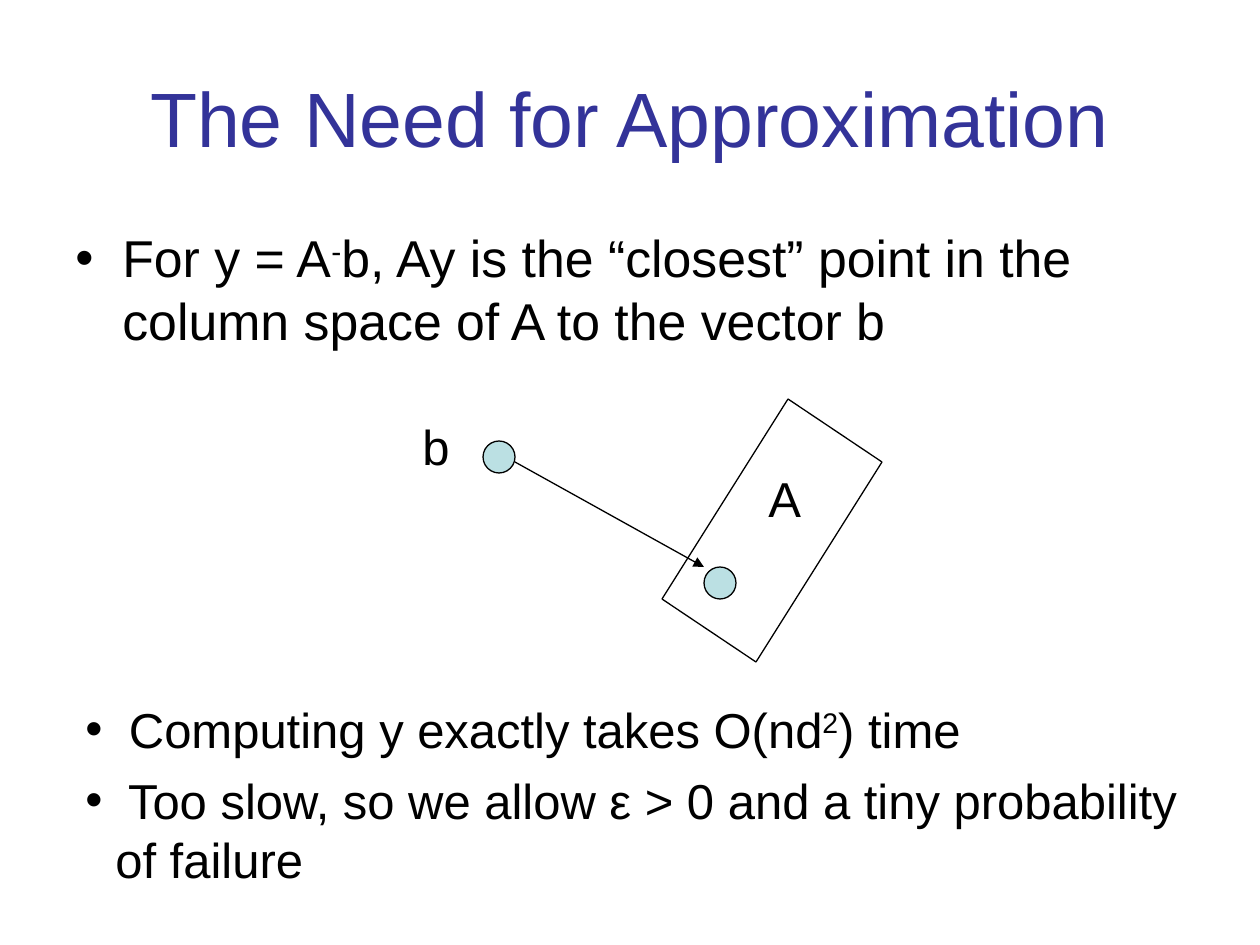
from pptx import Presentation
from pptx import util as u
from pptx.dml.color import RGBColor
from pptx.enum import shapes, text
from pptx.oxml import ns
from lxml import etree

PX = 9144000 / 1260
BLACK, INDIGO, AQUA = "000000", "333399", "BBE0E3"


def px(length):
    """Turn px into EMU."""
    return u.Emu(round(length * PX))


def rgb(value):
    """Turn a hex string into a colour."""
    return RGBColor.from_string(value)


def add_bullet(paragraph, hang):
    """Give a paragraph a round bullet and a hanging indent in px."""
    props = paragraph._p.get_or_add_pPr()
    props.set("marL", str(px(hang)))
    props.set("indent", str(-px(hang)))
    colour = etree.SubElement(props, ns.qn("a:buClr"))
    etree.SubElement(colour, ns.qn("a:srgbClr"), val=BLACK)
    etree.SubElement(props, ns.qn("a:buFont"), typeface="Arial")
    etree.SubElement(props, ns.qn("a:buChar"), char="•")


def add_text(slide, box, paragraphs, size=28, color=BLACK, align="LEFT", anchor="TOP",
             hang=0, before=0, wrap=True, grow=True):
    """Write paragraphs of runs, where every second run is superscript."""
    frame = slide.shapes.add_textbox(*map(px, box)).text_frame
    frame.word_wrap = wrap
    frame.auto_size = text.MSO_AUTO_SIZE.SHAPE_TO_FIT_TEXT if grow else text.MSO_AUTO_SIZE.NONE
    frame.vertical_anchor = text.MSO_ANCHOR[anchor]
    for index, runs in enumerate(paragraphs):
        paragraph = frame.add_paragraph() if index else frame.paragraphs[0]
        paragraph.alignment = text.PP_ALIGN[align]
        paragraph.space_before = u.Pt(before)
        if hang:
            add_bullet(paragraph, hang)
        for position, words in enumerate(runs):
            run = paragraph.add_run()
            run.text = words
            run.font.size = u.Pt(size)
            run.font.name = "Arial"
            run.font.color.rgb = rgb(color)
            if position % 2:
                run._r.get_or_add_rPr().set("baseline", "30000")


def add_line(slide, start, end, arrow=False):
    """Draw a thin black line, with an arrowhead at its end if asked."""
    line = slide.shapes.add_connector(shapes.MSO_CONNECTOR.STRAIGHT, *map(px, start + end))
    line.line.color.rgb = rgb(BLACK)
    line.line.width = u.Pt(0.75)
    if arrow:
        etree.SubElement(line.line._get_or_add_ln(), ns.qn("a:tailEnd"), type="triangle")
    etree.SubElement(line._element.spPr, ns.qn("a:effectLst"))


def add_point(slide, left, top, size=32):
    """Draw a round point."""
    point = slide.shapes.add_shape(shapes.MSO_SHAPE.OVAL, *map(px, (left, top, size, size)))
    point.shadow.inherit = False
    point.fill.solid()
    point.fill.fore_color.rgb = rgb(AQUA)
    point.line.color.rgb = rgb(BLACK)
    point.line.width = u.Pt(0.75)


def main():
    """Build the slide and save it."""
    deck = Presentation()
    deck.slide_width, deck.slide_height = px(1260), px(945)
    slide = deck.slides.add_slide(deck.slide_layouts[6])

    add_text(slide, (63, 38, 1134, 158), [["The Need for Approximation"]],
             size=44, color=INDIGO, align="CENTER", anchor="MIDDLE", grow=False)
    add_text(slide, (63, 220, 1134, 147),
             [["For y = A", "-", "b, Ay is the “closest” point in the column space of A to the vector b"]],
             size=29.6, hang=47, before=8, grow=False)
    add_text(slide, (73, 693, 1124, 202),
             [[" Computing y exactly takes O(nd", "2", ") time"],
              [" Too slow, so we allow ε > 0 and a tiny probability of failure"]],
             hang=30, before=7)

    column_space = [(756, 662), (882, 462), (788, 399), (662, 599)]
    for start, end in zip(column_space, column_space[1:] + column_space[:1]):
        add_line(slide, start, end)
    add_point(slide, 483, 441)
    add_point(slide, 704, 567)
    add_line(slide, (515, 462), (704, 567), arrow=True)
    add_text(slide, (410, 410, 52, 72), [["b"]], wrap=False)
    add_text(slide, (756, 462, 58, 72), [["A"]], wrap=False)

    deck.save("out.pptx")


if __name__ == "__main__":
    main()
